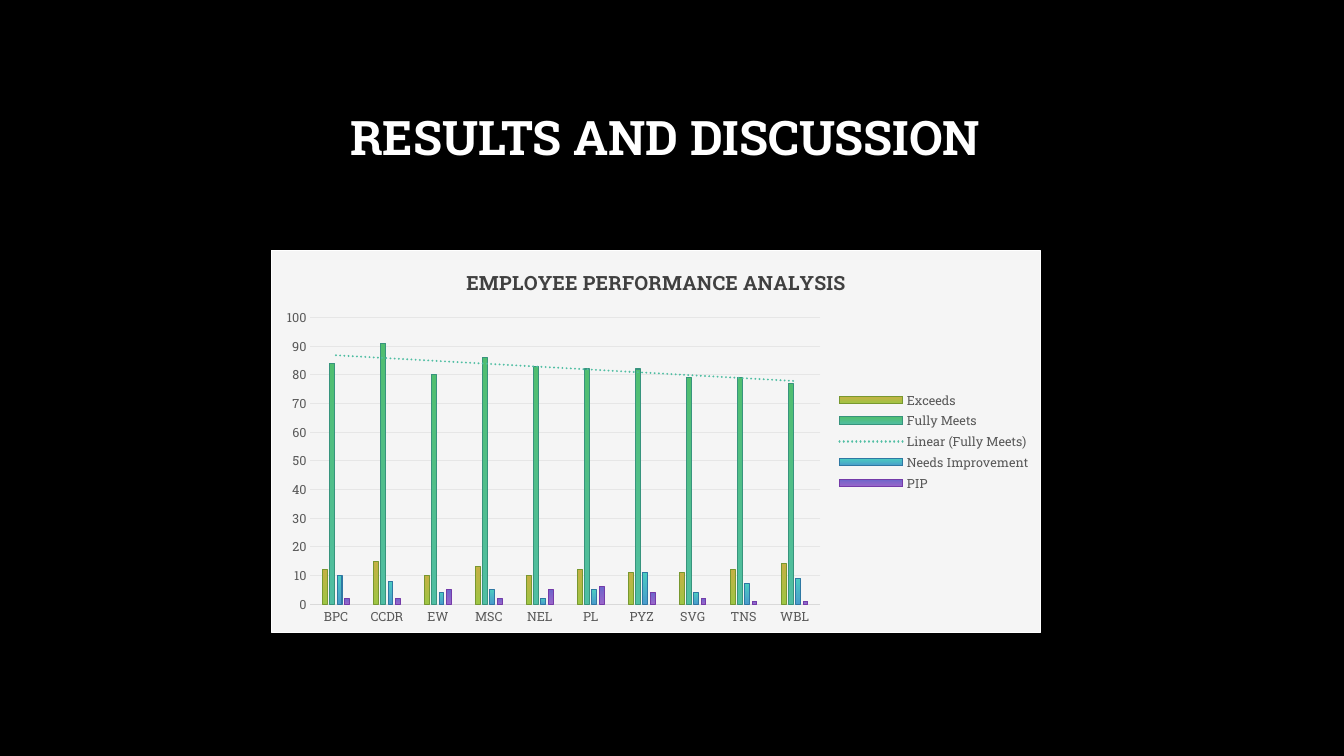
from lxml import etree
from pptx import Presentation
from pptx.chart.data import CategoryChartData
from pptx.dml.color import RGBColor
from pptx.enum.chart import XL_CHART_TYPE, XL_LEGEND_POSITION, XL_TICK_MARK
from pptx.enum.text import MSO_ANCHOR, MSO_AUTO_SIZE, PP_ALIGN
from pptx.oxml import parse_xml
from pptx.oxml.ns import nsdecls, qn
from pptx.util import Cm, Pt

FONT = "Roboto Slab"
COLORS = {
    "background": "000000",
    "white": "FFFFFF",
    "panel": "F5F5F5",
    "heading": "404040",
    "label": "595959",
    "axis": "D9D9D9",
    "grid": "E6E6E6",
    "trend": "50BEA3",
}
CATEGORIES = ["BPC", "CCDR", "EW", "MSC", "NEL", "PL", "PYZ", "SVG", "TNS", "WBL"]
RATINGS = {
    "Exceeds": [12, 15, 10, 13, 10, 12, 11, 11, 12, 14],
    "Fully Meets": [84, 91, 80, 86, 83, 82, 82, 79, 79, 77],
    "Needs Improvement": [10, 8, 4, 5, 2, 5, 11, 4, 7, 9],
    "PIP": [2, 2, 5, 2, 5, 6, 4, 2, 1, 1],
}
RATING_COLORS = {
    "Exceeds": ("C5B044", "9EC544", "78982F"),
    "Fully Meets": ("50BE70", "50BEA3", "37947D"),
    "Needs Improvement": ("4ACCC0", "4A9CCC", "2E78A3"),
    "PIP": ("6C66CA", "9A66CA", "743BA9"),
}


def rgb(name):
    return RGBColor.from_string(COLORS[name])


def style_font(font, size, color, bold=False):
    font.name = FONT
    font.size = Pt(size)
    font.bold = bold
    font.color.rgb = rgb(color)


def style_line(line, color):
    line.color.rgb = color
    line.width = Pt(0.75)


def add_title(slide, left, top, width, height):
    title = slide.shapes.title
    title.left, title.top, title.width, title.height = left, top, width, height
    frame = title.text_frame
    frame.auto_size = MSO_AUTO_SIZE.NONE
    frame.word_wrap = True
    frame.vertical_anchor = MSO_ANCHOR.MIDDLE
    paragraph = frame.paragraphs[0]
    paragraph.alignment = PP_ALIGN.CENTER
    paragraph.line_spacing = 0.9
    run = paragraph.add_run()
    run.text = "RESULTS AND DISCUSSION "
    style_font(run.font, 34, "white", True)


def style_series(series):
    *stops, outline = RATING_COLORS[series.name]
    fill = series.format.fill
    fill.gradient()
    fill.gradient_angle = 270
    for stop, color in zip(fill.gradient_stops, stops):
        stop.color.rgb = RGBColor.from_string(color)
    style_line(series.format.line, RGBColor.from_string(outline))
    series.invert_if_negative = False


def add_trend_line(series):
    trend_line = parse_xml(
        f'<c:trendline {nsdecls("c", "a")}><c:spPr><a:ln w="{Pt(1.5)}" cap="rnd">'
        f'<a:solidFill><a:srgbClr val="{COLORS["trend"]}"/></a:solidFill>'
        '<a:prstDash val="sysDot"/></a:ln></c:spPr>'
        '<c:trendlineType val="linear"/><c:dispRSqr val="0"/><c:dispEq val="0"/>'
        '</c:trendline>'
    )
    series._element.find(qn("c:cat")).addprevious(trend_line)


def style_panel(chart):
    panel = parse_xml(
        f'<c:spPr {nsdecls("c", "a")}>'
        f'<a:solidFill><a:srgbClr val="{COLORS["panel"]}"/></a:solidFill>'
        f'<a:ln w="{Pt(0.75)}"><a:solidFill><a:srgbClr val="{COLORS["white"]}"/>'
        '</a:solidFill></a:ln></c:spPr>'
    )
    chart.element.find(qn("c:chart")).addnext(panel)
    rounded = chart.element.find(qn("c:roundedCorners"))
    if rounded is None:
        rounded = etree.Element(qn("c:roundedCorners"))
        chart.element.find(qn("c:chart")).addprevious(rounded)
    rounded.set("val", "0")


def style_axes(chart):
    category_axis, value_axis = chart.category_axis, chart.value_axis
    for axis in (category_axis, value_axis):
        axis.major_tick_mark = XL_TICK_MARK.NONE
        axis.minor_tick_mark = XL_TICK_MARK.NONE
        style_font(axis.tick_labels.font, 9, "label")
    style_line(category_axis.format.line, rgb("axis"))
    value_axis.format.line.fill.background()
    value_axis.minimum_scale = 0
    value_axis.maximum_scale = 100
    value_axis.major_unit = 10
    style_line(value_axis.major_gridlines.format.line, rgb("grid"))


def add_performance_chart(slide, left, top, width, height):
    data = CategoryChartData()
    data.categories = CATEGORIES
    for name, values in RATINGS.items():
        data.add_series(name, values)
    chart = slide.shapes.add_chart(
        XL_CHART_TYPE.COLUMN_CLUSTERED, left, top, width, height, data
    ).chart
    style_font(chart.font, 10, "white")
    style_panel(chart)

    chart.has_title = True
    run = chart.chart_title.text_frame.paragraphs[0].add_run()
    run.text = "EMPLOYEE PERFORMANCE ANALYSIS"
    style_font(run.font, 14, "heading", True)

    chart.has_legend = True
    chart.legend.position = XL_LEGEND_POSITION.RIGHT
    chart.legend.include_in_layout = False
    style_font(chart.legend.font, 9, "label")

    style_axes(chart)
    plot = chart.plots[0]
    plot.vary_by_categories = False
    plot.gap_width = 500
    plot.overlap = -50
    for series in plot.series:
        style_series(series)
        if series.name == "Fully Meets":
            add_trend_line(series)


def main():
    presentation = Presentation()
    presentation.slide_width = Cm(33.87)
    presentation.slide_height = Cm(19.05)
    slide = presentation.slides.add_slide(presentation.slide_layouts[5])
    slide.background.fill.solid()
    slide.background.fill.fore_color.rgb = rgb("background")
    add_title(slide, Cm(2.54), Cm(1.7), Cm(28.75), Cm(3.68))
    add_performance_chart(slide, Cm(6.83), Cm(6.3), Cm(19.41), Cm(9.65))
    presentation.save("out.pptx")


if __name__ == "__main__":
    main()
